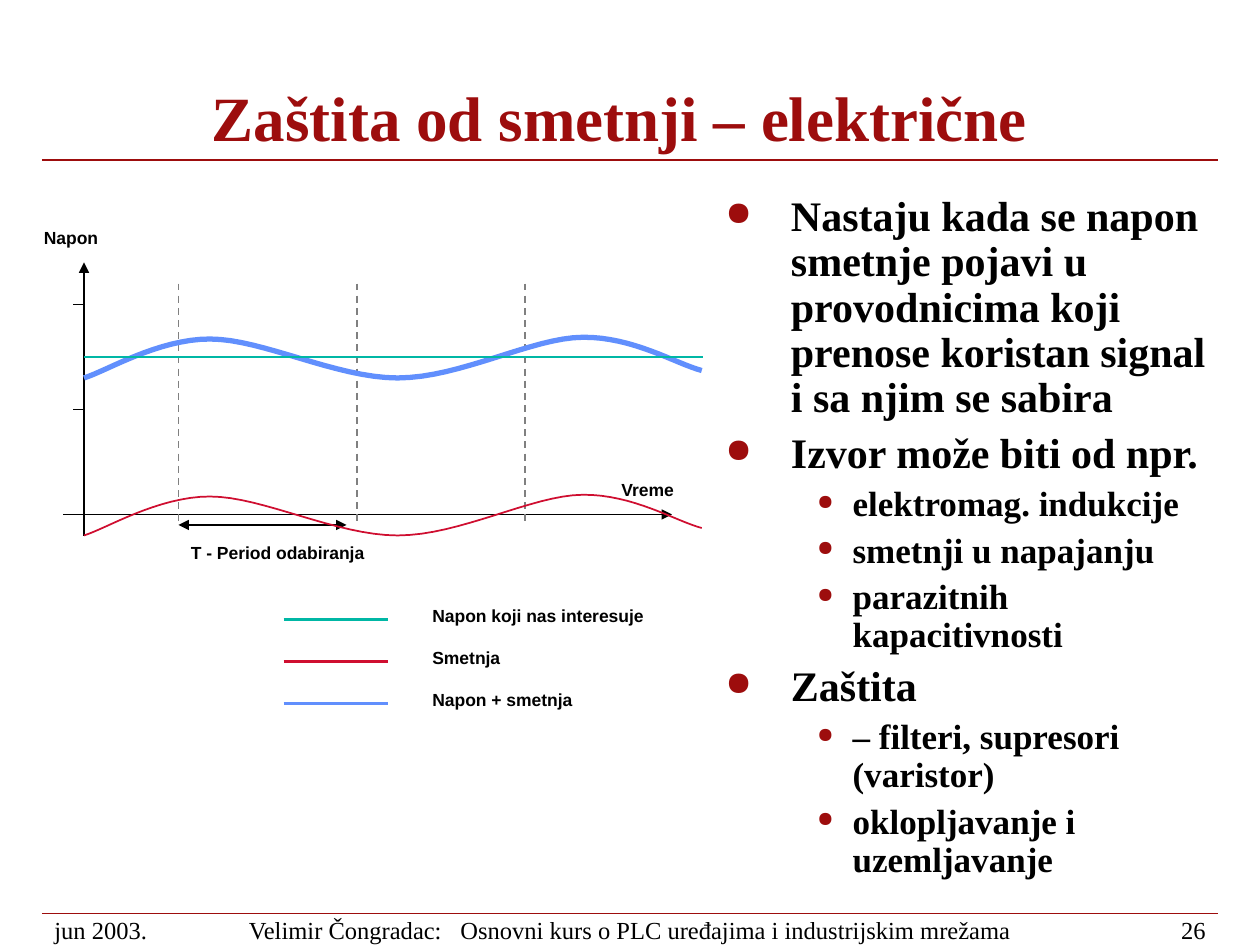
import pptx
import pptx.util
import pptx.dml.color
import pptx.enum.dml
import pptx.enum.shapes
import pptx.enum.text
import lxml.etree

Pt = pptx.util.Pt
ALIGN = pptx.enum.text.PP_ALIGN
ANCHOR = pptx.enum.text.MSO_ANCHOR
DASH = pptx.enum.dml.MSO_LINE.DASH
NS = "http://schemas.openxmlformats.org/drawingml/2006/main"

RED, BLACK, GREY, WHITE = "9D0D0D", "000000", "808080", "FFFFFF"
TEAL, CRIMSON, BLUE = "00B7A5", "CF0E30", "618FFD"

# Content
TITLE = "Zaštita od smetnji – električne"
POINTS = [
    (0, "Nastaju kada se napon smetnje pojavi u provodnicima koji "
        "prenose koristan signal i sa njim se sabira"),
    (0, "Izvor može biti od npr."),
    (1, "elektromag. indukcije"),
    (1, "smetnji u napajanju"),
    (1, "parazitnih kapacitivnosti"),
    (0, "Zaštita"),
    (1, "– filteri, supresori (varistor)"),
    (1, "oklopljavanje i uzemljavanje"),
]
# size, left margin, hanging indent, space before, bullet percent
LEVELS = [(24, 37.5, 37.5, 6, 80), (20, 72.75, 20.25, 5, 60)]
AUTHOR = "Velimir Čongradac:"
COURSE = "Osnovni kurs o PLC uređajima i industrijskim mrežama"
LEGEND = [("Napon koji nas interesuje", TEAL), ("Smetnja", CRIMSON),
          ("Napon + smetnja", BLUE)]
LABELS = [("Napon", 18, 126, 60), ("Vreme", 348, 270, 60),
          ("T - Period odabiranja", 102, 306, 120)]
# Bezier points of the noise, measured from the time axis
WAVE = [(48, 12), (60, 8.5), (90, -10.25), (120, -10.25),
        (150, -10.25), (192, 12), (227.25, 12),
        (263, 12), (304, -11), (333, -11.25),
        (362, -11.5), (386.5, 4), (401, 7.75)]
AXIS, STEPS = 294, 16

deck = pptx.Presentation()
deck.slide_width, deck.slide_height = Pt(720), Pt(540)
slide = deck.slides.add_slide(deck.slide_layouts[6])
shapes = slide.shapes


def color(code):
    return pptx.dml.color.RGBColor.from_string(code)


def node(parent, tag, **attrs):
    item = lxml.etree.SubElement(parent, f"{{{NS}}}{tag}")
    for key, value in attrs.items():
        item.set(key, str(value))
    return item


def style(font, size, face, tint, bold):
    font.size, font.name, font.bold = Pt(size), face, bold
    font.color.rgb = color(tint)


def text(words, x, y, w, h, size=14, face="Times New Roman", tint=BLACK,
         bold=False, align=ALIGN.LEFT, anchor=ANCHOR.MIDDLE, lead=None,
         fill=None, inset=7.2):
    """Add a text box; words is a string or a list of runs."""
    box = shapes.add_textbox(Pt(x), Pt(y), Pt(w), Pt(h))
    if fill:
        box.fill.solid()
        box.fill.fore_color.rgb = color(fill)
    frame = box.text_frame
    frame.word_wrap, frame.vertical_anchor = True, anchor
    frame.margin_left = frame.margin_right = Pt(inset)
    frame.margin_top = frame.margin_bottom = Pt(3.6)
    para = frame.paragraphs[0]
    para.alignment = align
    if lead:
        para.line_spacing = lead
    for piece in [words] if isinstance(words, str) else words:
        run = para.add_run()
        run.text = piece
        style(run.font, size, face, tint, bold)
    return frame


def label(words, x, y, w):
    text(words, x, y, w, 19.5, size=10, face="Arial", bold=True,
         anchor=ANCHOR.TOP, fill=WHITE)


def line(x1, y1, x2, y2, tint=BLACK, width=1, ends=(), dash=None):
    wire = shapes.add_connector(pptx.enum.shapes.MSO_CONNECTOR.STRAIGHT,
                                Pt(x1), Pt(y1), Pt(x2), Pt(y2))
    wire.line.color.rgb, wire.line.width = color(tint), Pt(width)
    if dash:
        wire.line.dash_style = dash
    for end in ends:
        node(wire.line._get_or_add_ln(), end, type="triangle")
    node(wire._element.spPr, "effectLst")


def curve(base, tint, width):
    """Draw the noise wave around the level base."""
    dots = []
    for k in range(0, len(WAVE) - 1, 3):
        a, b, c, d = WAVE[k:k + 4]
        for n in range(1, STEPS + 1):
            t = n / STEPS
            u = 1 - t
            dots.append(tuple(
                u**3 * a[i] + 3 * u * u * t * b[i]
                + 3 * u * t * t * c[i] + t**3 * d[i] for i in (0, 1)))
    x, y = WAVE[0]
    pen = shapes.build_freeform(Pt(x), Pt(base + y))
    pen.add_line_segments([(Pt(x), Pt(base + y)) for x, y in dots],
                          close=False)
    form = pen.convert_to_shape()
    form.shadow.inherit = False
    form.fill.background()
    form.line.color.rgb, form.line.width = color(tint), Pt(width)


# Rules, title and footer
for y in (91.5, 522):
    line(24, y, 696, y, RED)
text(TITLE, 36, 33, 636, 58.5, size=36, tint=RED, bold=True,
     align=ALIGN.CENTER, anchor=ANCHOR.BOTTOM, lead=0.8, inset=6.5)
text("jun 2003.", 24, 522, 78, 18)
foot = text([AUTHOR, " ", COURSE], 102, 522, 516, 18, align=ALIGN.CENTER)
foot.paragraphs[0].runs[1]._r.get_or_add_rPr().set("spc", "700")
text("26", 624, 522, 72, 18, align=ALIGN.RIGHT)

# Bulleted list
body = text([], 408, 108, 288, 408, anchor=ANCHOR.TOP, inset=6.5)
for n, (level, words) in enumerate(POINTS):
    size, left, hang, gap, part = LEVELS[level]
    para = body.add_paragraph() if n else body.paragraphs[0]
    para.level, para.line_spacing = level, 0.9
    if n:
        para.space_before = Pt(gap)
    props = para._p.get_or_add_pPr()
    props.set("marL", str(Pt(left)))
    props.set("indent", str(-Pt(hang)))
    node(node(props, "buClr"), "srgbClr", val=RED)
    node(props, "buSzPct", val=part * 1000)
    node(props, "buChar", char="●")
    run = para.add_run()
    run.text = words
    style(run.font, size, "Times New Roman", BLACK, True)

# Graph: labels, axes, period, samples and ticks
for item in LABELS:
    label(*item)
line(48, 306, 48, 150, ends=["tailEnd"])
line(36, AXIS, 384, AXIS, ends=["tailEnd"])
line(102, 300, 198, 300, ends=["headEnd", "tailEnd"])
for x in (102, 204, 300):
    line(x, 162, x, 300, GREY, dash=DASH)
for y in (174, 234):
    line(42, y, 48, y)

# Signals
curve(AXIS - 90, BLUE, 3)
line(48, 204, 402, 204, TEAL)
curve(AXIS, CRIMSON, 1)

# Legend
for n, (words, tint) in enumerate(LEGEND):
    y = 342 + 24 * n
    label(words, 240, y, 144)
    line(162, y + 12, 222, y + 12, tint, 2.25)

deck.save("out.pptx")
